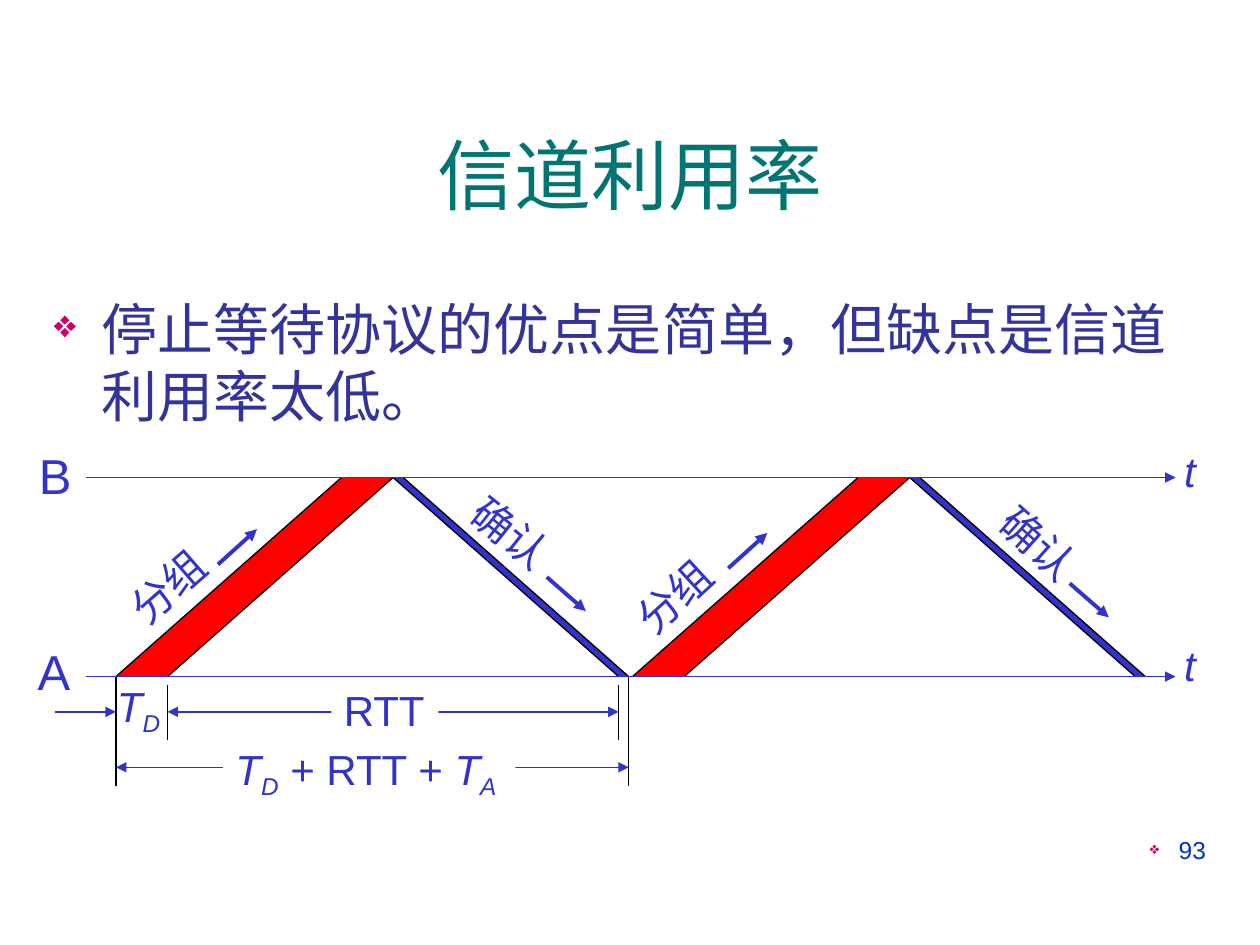
"""Build the slide on channel utilisation of the stop-and-wait protocol."""
import pptx
import pptx.dml.color
import pptx.enum.shapes
import pptx.enum.text
import pptx.oxml.ns
import pptx.util
from dataclasses import dataclass
from lxml import etree

Inches = pptx.util.Inches
ALIGN = pptx.enum.text.PP_ALIGN
ANCHOR = pptx.enum.text.MSO_ANCHOR


@dataclass(frozen=True)
class Theme:
    """Colours, fonts, type sizes and line widths."""
    title: str = "007572"
    body: str = "333399"
    ink: str = "3333CC"
    number: str = "0033CC"
    bullet: str = "CC0066"
    packet: str = "FF0000"
    edge: str = "000000"
    paper: str = "FFFFFF"
    font: str = "Arial"
    body_font: str = "Karla"
    title_size: int = 44
    body_size: int = 32
    node_size: int = 28
    label_size: int = 24
    number_size: int = 14
    thin: float = 0.75
    thick: float = 2.25


THEME = Theme()
TITLE = "信道利用率"
BODY = "停止等待协议的优点是简单，但缺点是信道利用率太低。"
PAGE_NUMBER = "93"

TOP, BOTTOM = 3.79, 5.37
START, FLIGHT, SEND, ACK = 0.92, 1.79, 0.41, 0.08
SENT = START + SEND
ACK_START = SENT + 2 * FLIGHT
FINISH = ACK_START + ACK
AXIS_LEFT, AXIS_RIGHT = 0.68, 9.33
RTT_Y, TOTAL_Y = 5.65, 6.09
PERIOD = 4.1

NODES = [("B", (0.21, 3.49, 0.46, 0.57)), ("A", (0.2, 5.04, 0.46, 0.57))]
TIMES = [(9.3, 3.49, 0.29, 0.5), (9.3, 5.03, 0.29, 0.5)]
CYCLES = [
    (0, [("分组", (0.9, 4.4, 0.87, 0.5), 318.9, (1.73, 4.48), -0.28),
         ("确认", (3.62, 3.98, 0.87, 0.5), 38.5, (4.34, 4.58), 0.27)]),
    (PERIOD, [("分组", (4.92, 4.48, 0.87, 0.5), 317.4, (5.78, 4.51), -0.28),
              ("确认", (7.81, 4.06, 0.87, 0.5), 41.8, (8.49, 4.63), 0.27)]),
]
MARKS = [(START, BOTTOM, 6.24), (SENT, 5.44, 5.87),
         (ACK_START, 5.44, 5.87), (FINISH, BOTTOM, 6.24)]
SPANS = [(0.44, START, RTT_Y, False), (SENT, ACK_START, RTT_Y, True),
         (START, FINISH, TOTAL_Y, True)]
FORMULAS = [
    ([("T", "italic"), ("D", "sub")], (0.83, 5.35, 0.56, 0.5), None),
    ([("RTT", "upright")], (2.63, 5.38, 0.85, 0.5), THEME.paper),
    ([("T", "italic"), ("D", "sub"), (" + RTT + ", "upright"),
      ("T", "italic"), ("A", "sub")], (1.77, 5.85, 2.32, 0.5), THEME.paper),
]


def rgb(value):
    """Turn a hex string into a colour."""
    return pptx.dml.color.RGBColor.from_string(value)


def add_element(parent, tag, **attributes):
    """Append a DrawingML element with the given attributes."""
    return etree.SubElement(parent, pptx.oxml.ns.qn("a:" + tag), attributes)


def add_bullet(para, indent):
    """Give a paragraph a diamond bullet with a hanging indent."""
    properties = para._p.get_or_add_pPr()
    properties.set("marL", str(Inches(indent)))
    properties.set("indent", str(-Inches(indent)))
    add_element(add_element(properties, "buClr"), "srgbClr", val=THEME.bullet)
    add_element(properties, "buSzPct", val="70000")
    add_element(properties, "buChar", char="❖")


def add_text(page, spans, place, size=THEME.label_size, color=THEME.ink,
             font=THEME.font, align=ALIGN.LEFT, anchor=ANCHOR.TOP,
             wrap=False, fill=None, angle=0, indent=0):
    """Write one paragraph of styled spans in a box."""
    lengths = [Inches(value) for value in place]
    if fill:
        box = page.shapes.add_shape(
            pptx.enum.shapes.MSO_SHAPE.RECTANGLE, *lengths)
        box.shadow.inherit = False
        box.fill.solid()
        box.fill.fore_color.rgb = rgb(fill)
        box.line.fill.background()
    else:
        box = page.shapes.add_textbox(*lengths)
    box.rotation = angle
    box.text_frame.word_wrap = wrap
    box.text_frame.vertical_anchor = anchor
    para = box.text_frame.paragraphs[0]
    para.alignment = align
    if indent:
        add_bullet(para, indent)
    para.font.name, para.font.size = font, pptx.util.Pt(size)
    para.font.color.rgb = rgb(color)
    styles = {style for _, style in spans}
    para.font.italic = styles != {"upright"}
    for text, style in spans:
        span = para.add_run()
        span.text = text
        if style == "upright" and len(styles) > 1:
            span.font.italic = False
        if style == "sub":
            span._r.get_or_add_rPr().set("baseline", "-25000")


def add_line(page, start, end, color=THEME.edge, width=THEME.thin,
             head=False, tail=False):
    """Draw a straight line with optional arrowheads."""
    line = page.shapes.add_connector(
        pptx.enum.shapes.MSO_CONNECTOR.STRAIGHT,
        *(Inches(value) for value in (*start, *end)))
    line.line.color.rgb = rgb(color)
    line.line.width = pptx.util.Pt(width)
    outline = line.line._get_or_add_ln()
    for tag, wanted in (("headEnd", head), ("tailEnd", tail)):
        if wanted:
            add_element(outline, tag, type="triangle")
    add_element(line._element.spPr, "effectLst")


def add_band(page, left, right, width, start_y, end_y, fill):
    """Draw a slanted band between the time axes with its two edges."""
    corners = [(left, start_y), (right, end_y),
               (right + width, end_y), (left + width, start_y)]
    points = [(Inches(x), Inches(y)) for x, y in corners]
    builder = page.shapes.build_freeform(*points[0])
    builder.add_line_segments(points[1:], close=True)
    band = builder.convert_to_shape()
    band.shadow.inherit = False
    band.fill.solid()
    band.fill.fore_color.rgb = rgb(fill)
    band.line.fill.background()
    add_line(page, corners[0], corners[1])
    add_line(page, corners[3], corners[2])


def add_cycle(page, offset, labels):
    """Draw one packet, its acknowledgement and their labels."""
    sent, back = START + offset, SENT + FLIGHT + offset
    add_band(page, sent, sent + FLIGHT, SEND, BOTTOM, TOP, THEME.packet)
    add_band(page, back, back + FLIGHT, ACK, TOP, BOTTOM, THEME.ink)
    for text, place, angle, (x, y), rise in labels:
        add_text(page, [(text, "upright")], place, angle=angle)
        add_line(page, (x, y), (x + 0.31, y + rise), THEME.ink,
                 THEME.thick, tail=True)


def main():
    """Build and save the deck."""
    deck = pptx.Presentation()
    deck.slide_width, deck.slide_height = Inches(10), Inches(7.5)
    page = deck.slides.add_slide(deck.slide_layouts[6])
    add_text(page, [(TITLE, "upright")], (0.33, 0.75, 9.34, 1.25),
             THEME.title_size, THEME.title, align=ALIGN.CENTER,
             anchor=ANCHOR.MIDDLE, wrap=True)
    add_text(page, [(BODY, "upright")], (0.33, 2.29, 9.34, 1.26),
             THEME.body_size, THEME.body, THEME.body_font, wrap=True,
             indent=0.38)
    add_text(page, [(PAGE_NUMBER, "upright")], (7.17, 6.58, 2.5, 0.52),
             THEME.number_size, THEME.number, align=ALIGN.RIGHT, wrap=True,
             indent=0.23)
    for x, top, bottom in MARKS:
        add_line(page, (x, bottom), (x, top))
    for left, right, y, both in SPANS:
        add_line(page, (left, y), (right, y), THEME.ink, head=both, tail=True)
    for spans, place, fill in FORMULAS:
        add_text(page, spans, place, fill=fill)
    for name, place in NODES:
        add_text(page, [(name, "upright")], place, THEME.node_size)
    for place in TIMES:
        add_text(page, [("t", "italic")], place)
    for offset, labels in CYCLES:
        add_cycle(page, offset, labels)
    for y in (TOP, BOTTOM):
        add_line(page, (AXIS_LEFT, y), (AXIS_RIGHT, y), THEME.ink, tail=True)
    deck.save("out.pptx")


if __name__ == "__main__":
    main()
